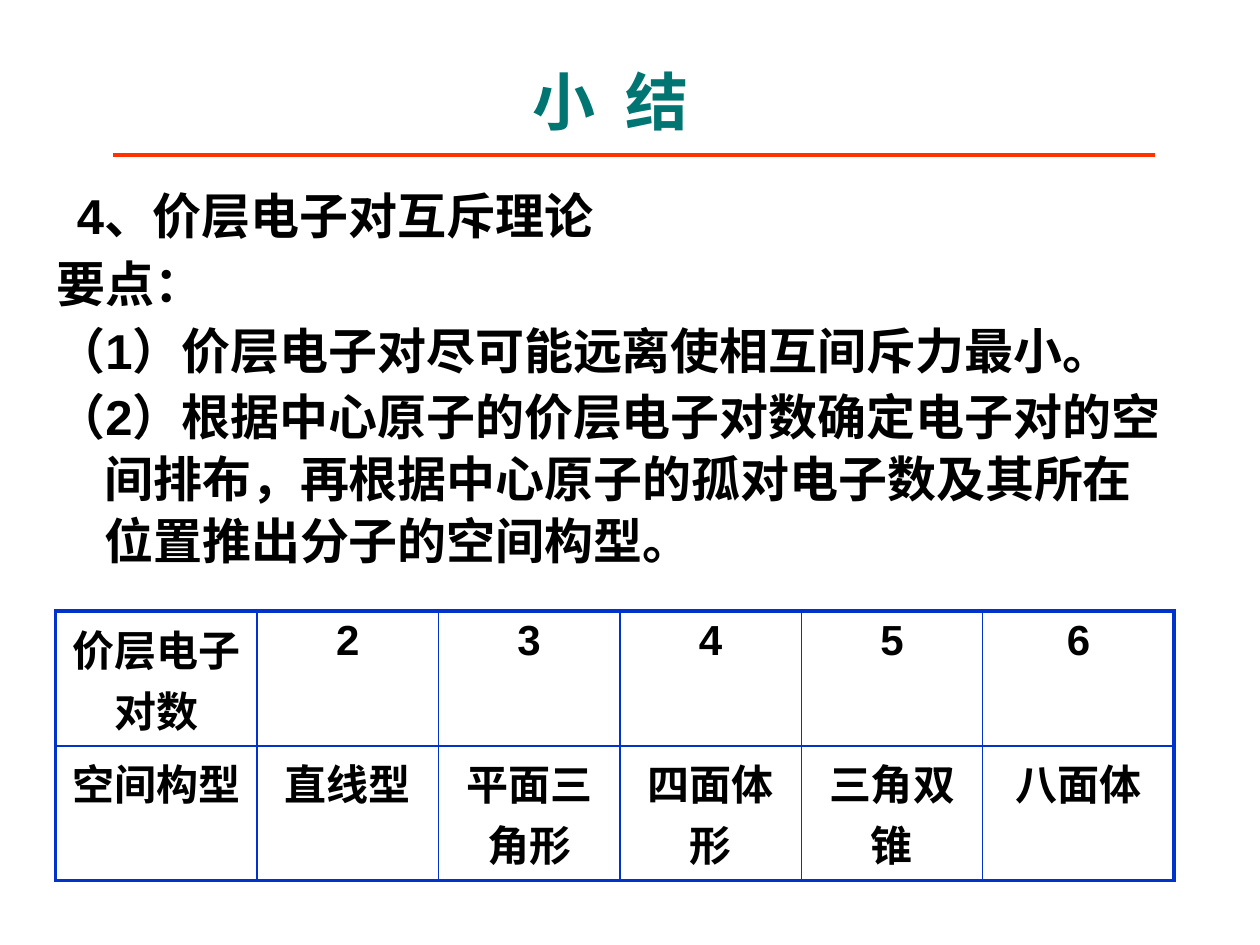
from lxml import etree
from pptx import Presentation
from pptx.dml.color import RGBColor
from pptx.enum.shapes import MSO_CONNECTOR
from pptx.enum.text import MSO_ANCHOR, PP_ALIGN
from pptx.oxml import parse_xml
from pptx.oxml.ns import nsdecls, qn
from pptx.util import Inches, Pt

BLUE = "0033CC"


def style(paragraph, size, color="000000", align=PP_ALIGN.LEFT):
    """Format every run of a paragraph in bold Arial."""
    paragraph.alignment = align
    for run in paragraph.runs:
        run.font.name = "Arial"
        run.font.size = Pt(size)
        run.font.bold = True
        run.font.color.rgb = RGBColor.from_string(color)


def add_border(cell, side, width):
    cell._tc.get_or_add_tcPr().append(parse_xml(
        f'<a:ln{side} {nsdecls("a")} w="{Pt(width)}"><a:solidFill>'
        f'<a:srgbClr val="{BLUE}"/></a:solidFill></a:ln{side}>'))


presentation = Presentation()
presentation.slide_width = Inches(10)
presentation.slide_height = Inches(7.5)
slide = presentation.slides.add_slide(presentation.slide_layouts[5])

# Title
title = slide.shapes.title
title.left, title.top = Inches(0.51), Inches(1.08)
title.width, title.height = Inches(8.5), Inches(1.25)
title.text_frame.text = "4、价层电子对互斥理论"
title.text_frame.vertical_anchor = MSO_ANCHOR.MIDDLE
style(title.text_frame.paragraphs[0], 28)

# Key points
points = [
    "要点：",
    "（1）价层电子对尽可能远离使相互间斥力最小。",
    "（2）根据中心原子的价层电子对数确定电子对的空间排布，"
    "再根据中心原子的孤对电子数及其所在位置推出分子的空间构型。",
]
body = slide.shapes.add_textbox(Inches(0.35), Inches(1.94), Inches(8.98), Inches(2.99))
body.text_frame.word_wrap = True
body.text_frame.text = "\n".join(points)
for index, paragraph in enumerate(body.text_frame.paragraphs):
    properties = paragraph._p.get_or_add_pPr()
    properties.set("marL", str(Inches(0.38)))
    properties.set("indent", str(-Inches(0.38)))
    paragraph.line_spacing = 1.05
    paragraph.space_before = Pt(2.8 if index else 0)
    style(paragraph, 28)

# Electron pair table
rows = [
    ["价层电子对数", "2", "3", "4", "5", "6"],
    ["空间构型", "直线型", "平面三角形", "四面体形", "三角双锥", "八面体"],
]
column_widths = [1.6, 1.44, 1.44, 1.44, 1.44, 1.52]
row_height = 1.07
last_row, last_column = len(rows) - 1, len(column_widths) - 1
table = slide.shapes.add_table(len(rows), len(column_widths), Inches(0.44), Inches(4.85),
                               Inches(sum(column_widths)),
                               Inches(row_height * len(rows))).table
table.first_row = table.horz_banding = False
for column, width in zip(table.columns, column_widths):
    column.width = Inches(width)
for r, row in enumerate(rows):
    for c, text in enumerate(row):
        cell = table.cell(r, c)
        cell.text_frame.text = text
        style(cell.text_frame.paragraphs[0], 24, align=PP_ALIGN.CENTER)
        outer = {"L": c == 0, "R": c == last_column, "T": r == 0, "B": r == last_row}
        for side, is_outer in outer.items():
            add_border(cell, side, 2.25 if is_outer else 1)
        cell.fill.background()

# Slide heading with its rule
heading = slide.shapes.add_textbox(Inches(3.27), Inches(0.36), Inches(3.15), Inches(0.87))
heading.text_frame.word_wrap = True
heading.text_frame.vertical_anchor = MSO_ANCHOR.MIDDLE
heading.text_frame.text = "小 结"
heading_paragraph = heading.text_frame.paragraphs[0]
style(heading_paragraph, 36, "007572", PP_ALIGN.CENTER)
heading_paragraph.runs[0].font._element.set("spc", "450")

rule = slide.shapes.add_connector(MSO_CONNECTOR.STRAIGHT, Inches(0.9), Inches(1.23),
                                  Inches(9.17), Inches(1.23))
rule.line.color.rgb = RGBColor.from_string("FF3300")
rule.line.width = Pt(2.5)
etree.SubElement(rule._element.spPr, qn("a:effectLst"))

presentation.save("out.pptx")
